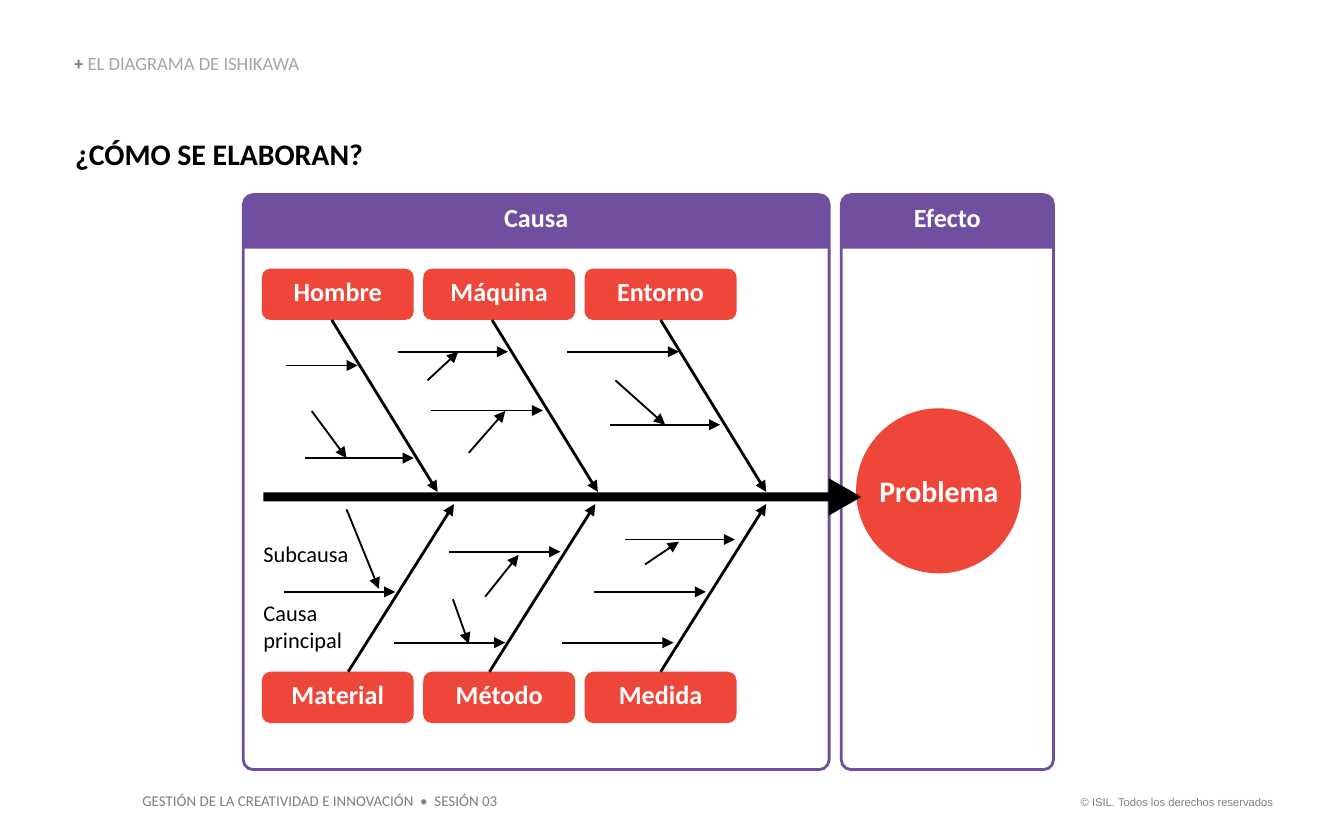
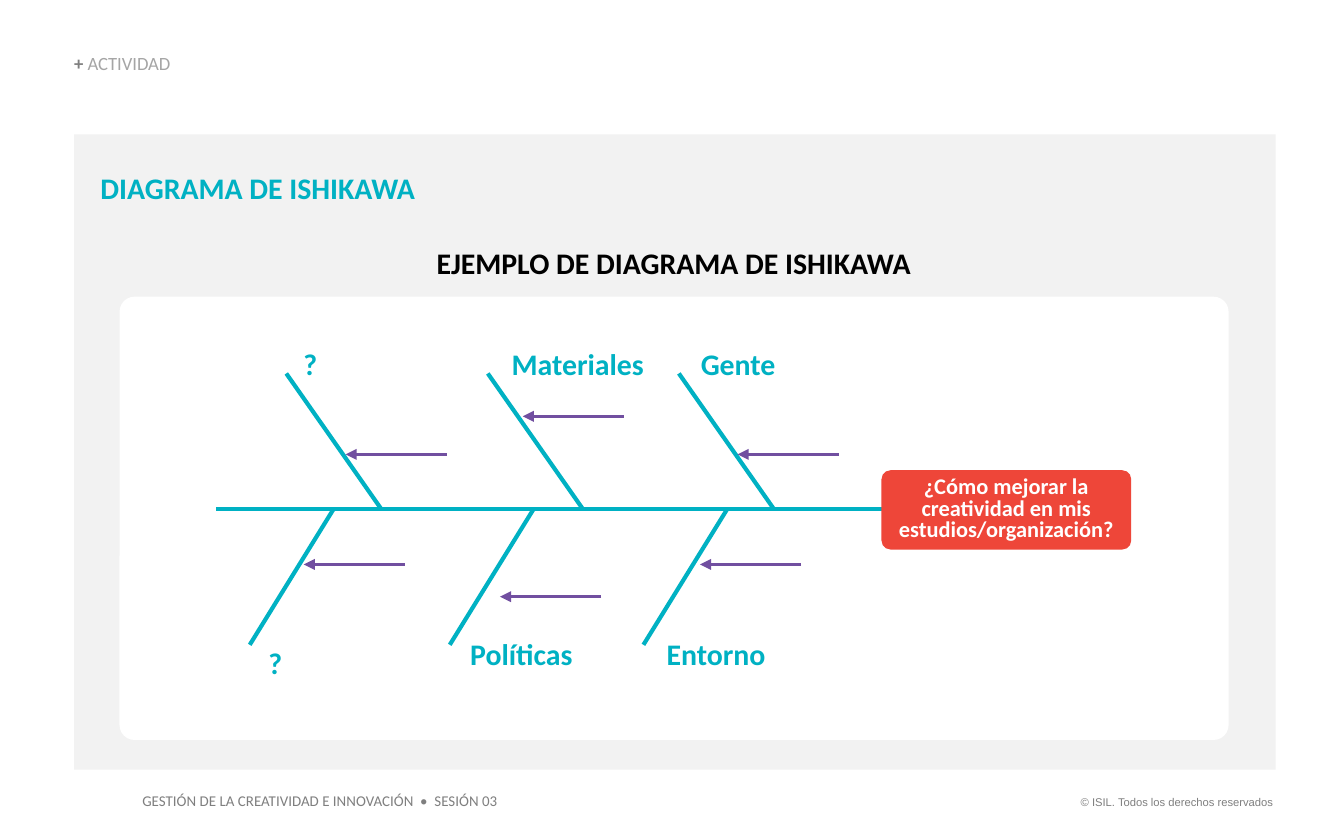
from lxml import etree
from pptx import Presentation
from pptx import util as u
from pptx.dml.color import RGBColor
from pptx.enum import shapes, text
from pptx.oxml.ns import qn

Cm = u.Cm
BLACK = RGBColor(0x00, 0x00, 0x00)
WHITE = RGBColor(0xFF, 0xFF, 0xFF)
GRAY = RGBColor(0x7F, 0x7F, 0x7F)
SILVER = RGBColor(0xA5, 0xA5, 0xA5)
MIST = RGBColor(0xF2, 0xF2, 0xF2)
RED = RGBColor(0xEE, 0x46, 0x39)
PURPLE = RGBColor(0x71, 0x4F, 0xA0)
TEAL = RGBColor(0x00, 0xB1, 0xC3)
LEFT, CENTER, RIGHT = text.PP_ALIGN.LEFT, text.PP_ALIGN.CENTER, text.PP_ALIGN.RIGHT
RECT, ROUND = shapes.MSO_SHAPE.RECTANGLE, shapes.MSO_SHAPE.ROUNDED_RECTANGLE
OVAL, ARROW = shapes.MSO_SHAPE.OVAL, shapes.MSO_SHAPE.RIGHT_ARROW


class Deck:
    font = "Calibri"

    def __init__(self):
        self.prs = Presentation()
        self.prs.slide_width, self.prs.slide_height = Cm(25.4), Cm(15.88)
        self.layout = self.prs.slide_layouts[5]
        self.slide = None

    def open_slide(self, topic):
        self.slide = self.prs.slides.add_slide(self.layout)
        if len(self.prs.slides) == 1:
            self.add_footers()
        title = self.slide.shapes.title
        title.left, title.top, title.width, title.height = Cm(1.4), Cm(1.04), Cm(6.96), Cm(0.38)
        frame = self.clear_margins(title.text_frame)
        frame.vertical_anchor = text.MSO_ANCHOR.BOTTOM
        frame.text = "+ "
        paragraph = frame.paragraphs[0]
        paragraph.add_run().text = topic
        paragraph.alignment, paragraph.line_spacing = LEFT, 0.9
        plus, name = paragraph.runs
        self.style(plus, 10, GRAY, True)
        self.style(name, 10, SILVER, False)

    def add_footers(self):
        course = self.label("GESTIÓN DE LA CREATIVIDAD E INNOVACIÓN  •  SESIÓN 03",
                            2.69, 14.96, 7, 0.35, 8, GRAY, bold=False)
        rights = self.label("© ISIL. Todos los derechos reservados",
                            20.07, 15.04, 3.99, 0.26, 6, GRAY, RIGHT, False, "Arial")
        for number, footer in enumerate((course, rights), 20):
            footer.element.nvSpPr.cNvPr.id = number
            self.layout.shapes.element.append(footer.element)

    def clear_margins(self, frame):
        frame.margin_left = frame.margin_right = frame.margin_top = frame.margin_bottom = 0
        frame.auto_size = text.MSO_AUTO_SIZE.NONE
        frame.word_wrap = True
        return frame

    def style(self, run, size, color, bold, font=None):
        run.font.name = font or self.font
        run.font.size, run.font.bold = u.Pt(size), bold
        run.font.color.rgb = color

    def set_words(self, frame, words, size, color, align, bold, font=None):
        paragraph = frame.paragraphs[0]
        paragraph.text = words
        paragraph.alignment = align
        for run in paragraph.runs:
            self.style(run, size, color, bold, font)
        return paragraph

    def label(self, words, x, y, w, h=0.69, size=16, color=BLACK, align=LEFT, bold=True, font=None):
        box = self.slide.shapes.add_textbox(Cm(x), Cm(y), Cm(w), Cm(h))
        self.set_words(self.clear_margins(box.text_frame), words, size, color, align, bold, font)
        return box

    def shape(self, kind, x, y, w, h, fill=None, outline=None, adjust=()):
        shape = self.slide.shapes.add_shape(kind, Cm(x), Cm(y), Cm(w), Cm(h))
        shape.shadow.inherit = False
        for position, value in enumerate(adjust):
            shape.adjustments[position] = value
        if fill is None:
            shape.fill.background()
        else:
            shape.fill.solid()
            shape.fill.fore_color.rgb = fill
        if outline is None:
            shape.line.fill.background()
        else:
            shape.line.color.rgb, shape.line.width = outline, u.Pt(1.5)
        return shape

    def tag(self, words, x, y, w, h, fill, size=14, corner=0.167):
        tag = self.shape(ROUND, x, y, w, h, fill, adjust=(corner,))
        tag.text_frame.word_wrap = True
        tag.text_frame.vertical_anchor = text.MSO_ANCHOR.MIDDLE
        self.set_words(tag.text_frame, words, size, WHITE, CENTER, True).line_spacing = 0.8
        return tag

    def line(self, x1, y1, x2, y2, color=BLACK, width=1, arrow=True):
        line = self.slide.shapes.add_connector(
            shapes.MSO_CONNECTOR.STRAIGHT, Cm(x1), Cm(y1), Cm(x2), Cm(y2))
        line.line.color.rgb, line.line.width = color, u.Pt(width)
        properties = line.element.spPr
        if arrow:
            etree.SubElement(properties.find(qn("a:ln")), qn("a:tailEnd"), type="triangle")
        etree.SubElement(properties, qn("a:effectLst"))
        return line


def build_method(deck):
    deck.open_slide("EL DIAGRAMA DE ISHIKAWA")
    deck.label("¿CÓMO SE ELABORAN?", 1.42, 2.57, 22)

    cause_rows = (
        (5.08, 6.05, 9.3, 2, (("Hombre", 6.27), ("Máquina", 9.3), ("Entorno", 12.48))),
        (12.7, 12.7, 9.53, 0, (("Material", 6.58), ("Método", 9.25), ("Medida", 12.48))),
    )
    for top, rib_start, rib_end, side, causes in cause_rows:
        for column, (cause, rib_x) in enumerate(causes):
            cause_tag = deck.tag(cause, 4.95 + 3.05 * column, top, 2.87, 0.97, RED)
            rib = deck.line(rib_x, rib_start, rib_x + 2, rib_end, width=1.5)
            if column == 2:
                rib.begin_connect(cause_tag, side)

    main_causes = (
        (5.41, 6.76, 6.91), (5.77, 7.82, 8.66), (7.52, 9.6, 6.65), (8.15, 10.26, 7.76),
        (10.72, 12.83, 6.65), (11.53, 13.61, 8.03), (5.36, 7.47, 11.19), (8.48, 10.59, 10.43),
        (7.44, 9.55, 12.15), (11.81, 13.89, 10.2), (11.23, 13.34, 11.19), (10.62, 12.73, 12.15),
    )
    for start, end, y in main_causes:
        deck.line(start, y, end, y)

    subcauses = (
        (5.89, 7.77, 6.55, 8.66), (8.08, 7.19, 8.66, 6.65), (8.86, 8.56, 9.55, 7.77),
        (11.63, 7.19, 12.57, 8.03), (6.55, 9.63, 7.16, 11.13), (9.17, 11.28, 9.8, 10.49),
        (8.56, 11.33, 8.86, 12.17), (12.19, 10.67, 12.83, 10.24),
    )
    for ends in subcauses:
        deck.line(*ends)

    for heading, x, width, corner in (("Causa", 4.6, 11.07, 0.017), ("Efecto", 15.9, 4.01, 0.046)):
        deck.tag(heading, x, 3.68, width, 0.97, PURPLE)
        deck.shape(ROUND, x, 3.68, width, 10.87, outline=PURPLE, adjust=(corner,))
        deck.shape(RECT, x, 4.5, width, 0.2, PURPLE)

    deck.shape(OVAL, 16.18, 7.72, 3.12, 3.12, RED)
    deck.label("Problema", 16.31, 8.94, 2.87, color=WHITE, align=CENTER)
    deck.shape(ARROW, 4.98, 9.04, 11.3, 0.71, BLACK, adjust=(0.236, 0.871))
    deck.label("Subcausa", 4.98, 10.21, 1.75, 0.51, 12, bold=False)
    deck.label("Causa\nprincipal", 4.98, 11.33, 1.75, 1.02, 12, bold=False)


def build_activity(deck):
    deck.open_slide("ACTIVIDAD")
    deck.shape(RECT, 1.4, 2.54, 22.71, 12.01, MIST)
    deck.label("DIAGRAMA DE ISHIKAWA", 1.9, 3.2, 7.82, color=TEAL)
    deck.label("EJEMPLO DE DIAGRAMA DE ISHIKAWA", 8.05, 4.62, 9.37, align=CENTER)
    deck.shape(ROUND, 2.26, 5.61, 20.96, 8.38, WHITE, adjust=(0.034,))

    spine_y = 9.63
    deck.line(17.12, spine_y, 4.09, spine_y, TEAL, 2.25, False)
    category_rows = (
        (7.06, 1.8, (("?", 5.33, 6.53, 1.07, 7.21, 6.53, 8.59),
                     ("Materiales", 9.47, 6.53, 2.9, 11.02, 9.88, 7.87),
                     ("Gente", 12.83, 6.53, 2.24, 14.63, 13.94, 8.59))),
        (12.19, 1.58, (("?", 4.67, 12.19, 1.07, 6.3, 5.74, 10.67),
                       ("Políticas", 8.46, 12.01, 2.79, 10.08, 9.45, 11.28),
                       ("Entorno", 12.14, 12.01, 2.79, 13.74, 13.23, 10.67))),
    )
    for rib_y, reach, categories in category_rows:
        for category, x, y, width, rib_x, tip_x, tip_y in categories:
            deck.line(rib_x, spine_y, rib_x - reach, rib_y, TEAL, 2.25, False)
            deck.label(category, x, y, width, color=TEAL, align=CENTER)
            deck.line(tip_x + 1.91, tip_y, tip_x, tip_y, PURPLE, 1.5)

    deck.tag("¿Cómo mejorar la creatividad en mis estudios/organización?",
             16.66, 8.89, 4.72, 1.5, RED, 12, 0.114)


def main():
    deck = Deck()
    build_method(deck)
    build_activity(deck)
    deck.prs.save("out.pptx")


if __name__ == "__main__":
    main()
